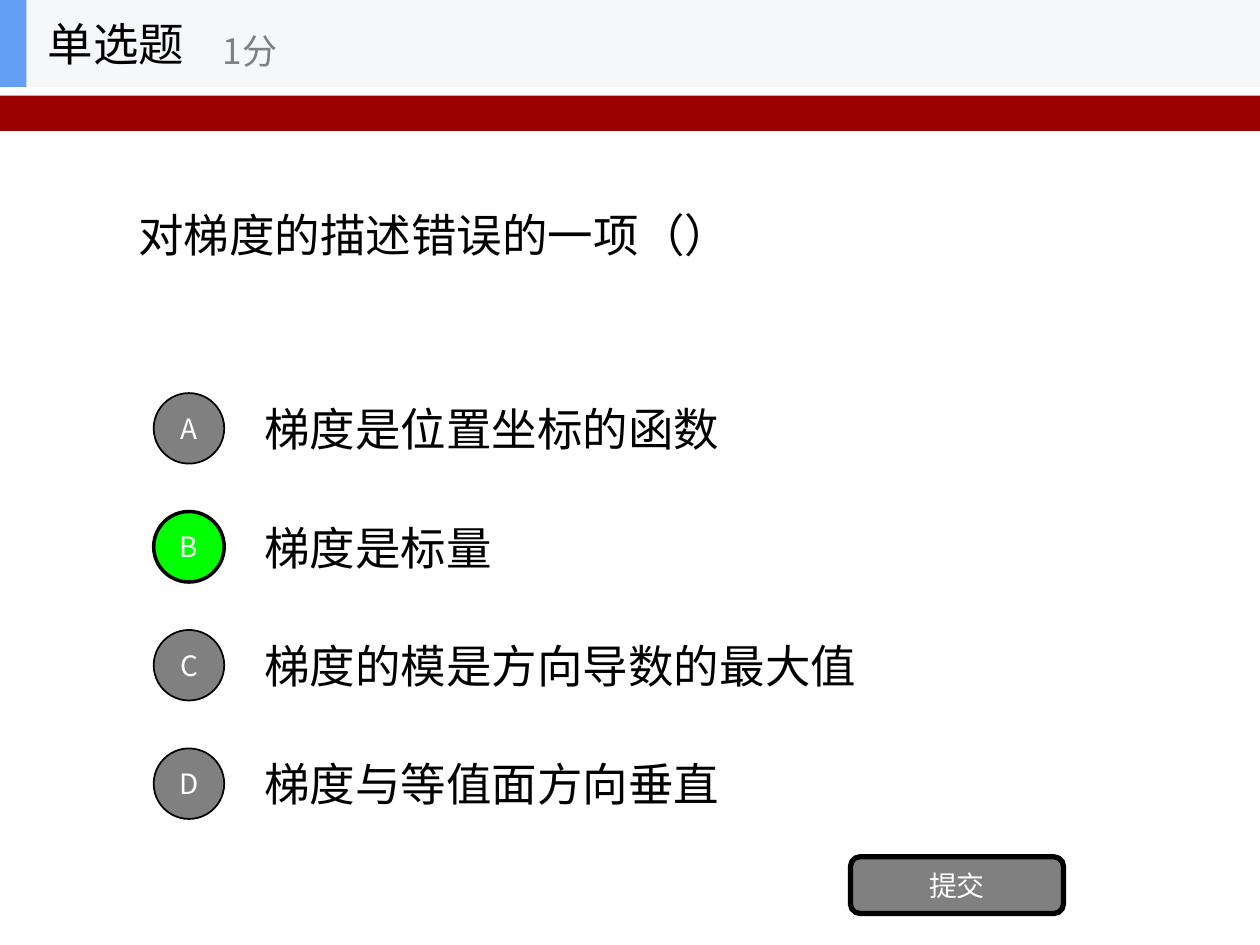
from lxml import etree
from pptx import Presentation
from pptx.dml.color import RGBColor
from pptx.enum.shapes import MSO_SHAPE
from pptx.enum.text import MSO_ANCHOR, PP_ALIGN
from pptx.oxml.ns import qn
from pptx.util import Inches, Pt

RECT, OVAL, ROUND = MSO_SHAPE.RECTANGLE, MSO_SHAPE.OVAL, MSO_SHAPE.ROUNDED_RECTANGLE
LEFT, CENTER = PP_ALIGN.LEFT, PP_ALIGN.CENTER
MIDDLE = MSO_ANCHOR.MIDDLE
FONT = "Noto Sans CJK SC"
BLACK, GRAY, WHITE, GREEN = "000000", "808080", "FFFFFF", "00FF00"
CHOICES = [
    ("A", "梯度是位置坐标的函数"),
    ("B", "梯度是标量"),
    ("C", "梯度的模是方向导数的最大值"),
    ("D", "梯度与等值面方向垂直"),
]
ANSWER = "B"


def color(code):
    """Turn a hex string into a colour."""
    return RGBColor.from_string(code)


def write(shape, text, size, ink, align=LEFT):
    """Write one line of text, centred in height, into a shape."""
    frame = shape.text_frame
    frame.word_wrap = True
    frame.vertical_anchor = MIDDLE
    para = frame.paragraphs[0]
    para.alignment = align
    run = para.add_run()
    run.text = text
    run.font.size = Pt(size)
    run.font.name = FONT
    run.font.color.rgb = color(ink)
    props = run.font._element
    etree.SubElement(props, qn("a:ea")).set("typeface", FONT)


def label(shapes, box, text, size=26, ink=BLACK):
    """Add a text box."""
    write(shapes.add_textbox(*map(Inches, box)), text, size, ink)


def block(shapes, kind, box, fill, line=0):
    """Add a filled shape, outlined in black if a line width is given."""
    shape = shapes.add_shape(kind, *map(Inches, box))
    shape.shadow.inherit = False
    shape.fill.solid()
    shape.fill.fore_color.rgb = color(fill)
    if line:
        shape.line.color.rgb = color(BLACK)
        shape.line.width = Pt(line)
    else:
        shape.line.fill.background()
    return shape


def header(slide, left, top, width, height):
    """Build the title strip with the question type and its score."""
    shapes = slide.shapes.add_group_shape().shapes
    block(shapes, RECT, (left, top, width, height), "F6F7F8")
    block(shapes, RECT, (left, top, 0.21, height), "639EF4")
    label(shapes, (left + 0.28, top, 2.08, height), "单选题")
    label(shapes, (left + 1.67, top + 0.12, 2.5, 0.56), "1分", 20, GRAY)


def options(slide, left, top, width, pitch):
    """Build the lettered choices, one row per pitch."""
    for row, (mark, text) in enumerate(CHOICES):
        y = top + row * pitch
        right = mark == ANSWER
        label(slide.shapes, (left + 0.78, y, width - 0.78, 0.7), text)
        disc = block(slide.shapes, OVAL, (left, y + 0.07, 0.56, 0.56),
                     GREEN if right else GRAY, 2 if right else 1)
        write(disc, mark, 16, WHITE, CENTER)


def button(slide, *box):
    """Build the submit button."""
    shape = block(slide.shapes, ROUND, box, GRAY, 3)
    write(shape, "提交", 16, WHITE, CENTER)


def main():
    """Build and save the quiz slide."""
    deck = Presentation()
    deck.slide_width, deck.slide_height = Inches(10), Inches(7.5)
    slide = deck.slides.add_slide(deck.slide_layouts[6])
    block(slide.shapes, RECT, (0, 0.76, 10, 0.28), "990000")
    label(slide.shapes, (1, 0.69, 8, 2.34), "对梯度的描述错误的一项（）")
    options(slide, 1.22, 3.05, 7.78, 0.94)
    button(slide, 6.75, 6.8, 1.69, 0.45)
    header(slide, 0, 0, 10, 0.69)
    deck.save("out.pptx")


if __name__ == "__main__":
    main()
